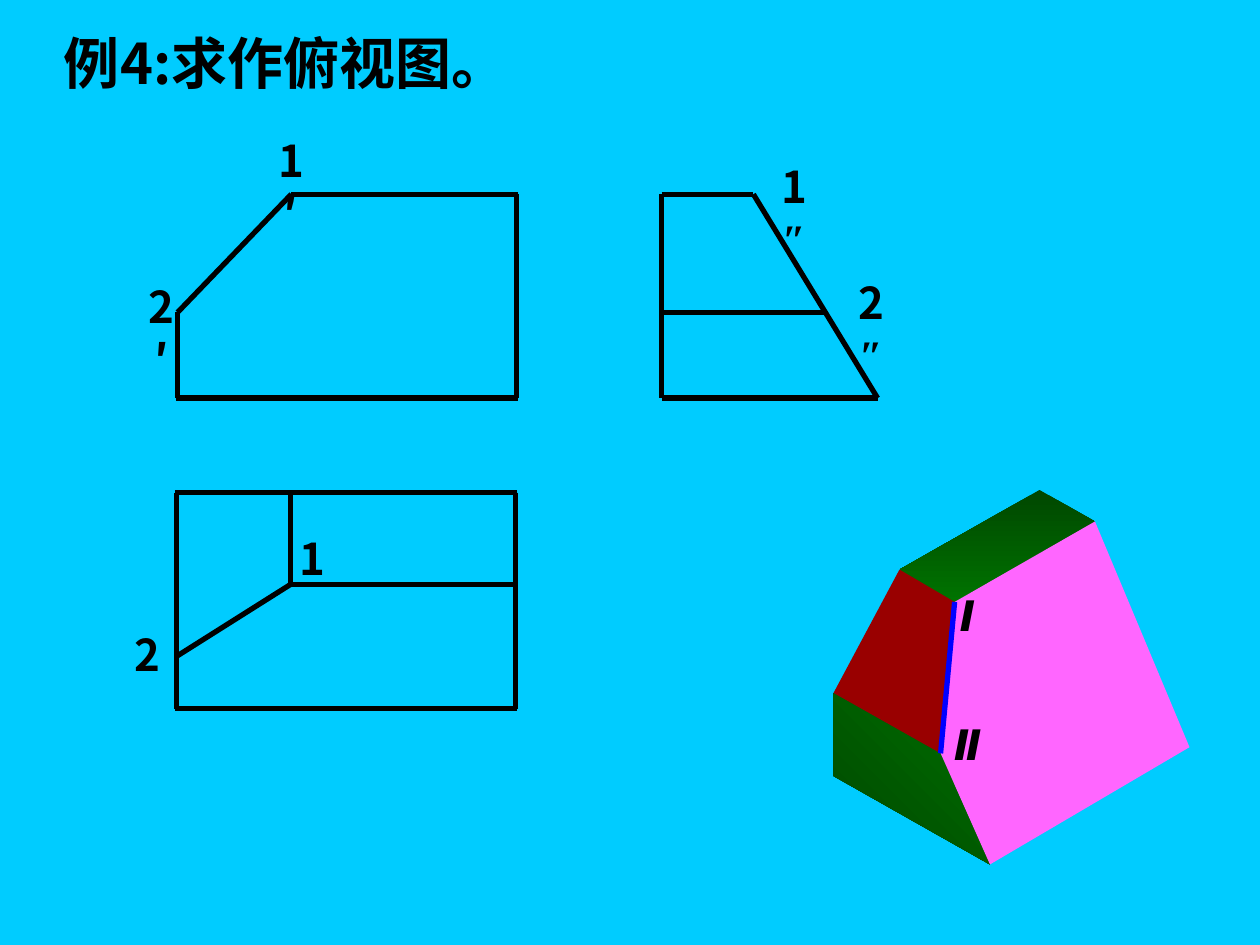
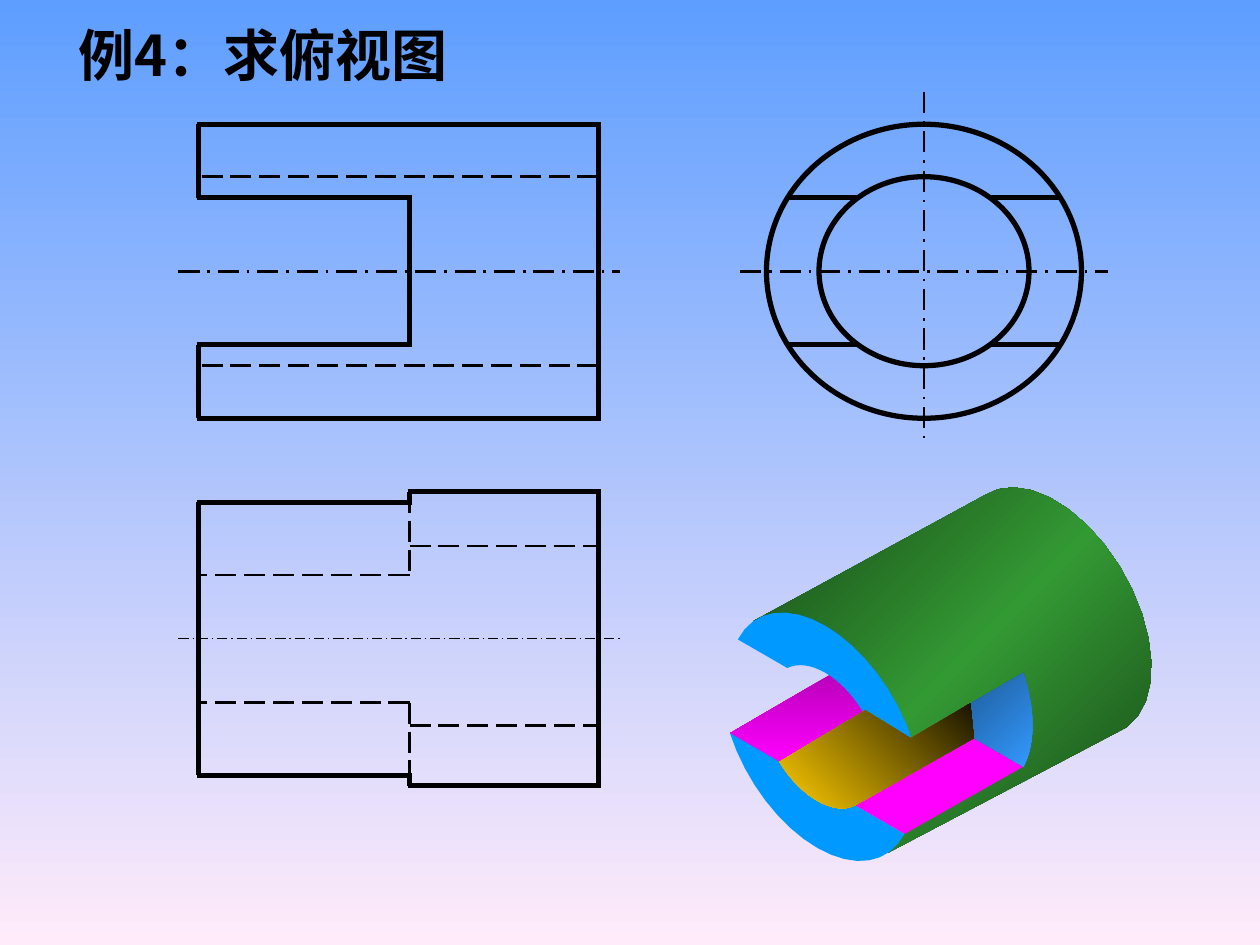
from copy import deepcopy
from dataclasses import dataclass
from math import asin, cos, degrees, radians, sin, sqrt

from lxml import etree
from pptx import Presentation
from pptx.dml.color import RGBColor
from pptx.enum.dml import MSO_LINE
from pptx.enum.shapes import MSO_CONNECTOR, MSO_SHAPE
from pptx.enum.text import MSO_ANCHOR, PP_ALIGN
from pptx.oxml.ns import qn
from pptx.util import Pt

STRAIGHT = MSO_CONNECTOR.STRAIGHT
OVAL = MSO_SHAPE.OVAL
HIDDEN, AXIS = MSO_LINE.LONG_DASH, MSO_LINE.LONG_DASH_DOT
LEFT, CENTER = PP_ALIGN.LEFT, PP_ALIGN.CENTER
TOP = MSO_ANCHOR.TOP


@dataclass(frozen=True)
class Theme:
    ink: str = "000000"
    sky: str = "00CCFF"
    sunrise: tuple = (90, "5E9EFF", "FFEBFA")
    block_top: tuple = (90, "004700", "007300")
    block_left: tuple = (315, "004700", "007000")
    pink: str = "FF66FF"
    red: str = "990000"
    blue: str = "0000FF"
    tube_green: tuple = (45, "184718", "339933", "184718")
    end_blue: str = "0099FF"
    slot_blue: tuple = (45, "1F5D9B", "3399FF")
    floor: str = "FF00FF"
    shaded_floor: tuple = (90, "B900B9", "FF00FF")
    gold: tuple = (315, "FFCC00", "191400")
    font: str = "Noto Sans CJK SC"
    prime_font: str = "Times New Roman"
    numeral_font: str = "Lato"
    title_size: float = 32
    label_size: float = 25
    numeral_size: float = 24
    edge: float = 3
    thin: float = 1.5
    hair: float = 0.75


THEME = Theme()


def paint(fill, colour):
    """Fill with one colour, or with (clockwise angle, colour, colour, ...)."""
    if isinstance(colour, str):
        fill.solid()
        fill.fore_color.rgb = RGBColor.from_string(colour)
        return
    angle, *colours = colour
    fill.gradient()
    fill.gradient_angle = (360 - angle) % 360
    first_stop = fill.gradient_stops[0]._gs
    for _ in colours[2:]:
        first_stop.addnext(deepcopy(first_stop))
    for index, (stop, value) in enumerate(zip(fill.gradient_stops, colours)):
        stop.position = index / (len(colours) - 1)
        stop.color.rgb = RGBColor.from_string(value)


def style_line(line, weight, dash=None, colour=THEME.ink):
    paint(line.fill, colour)
    line.width = Pt(weight)
    if dash:
        line.dash_style = dash


def draw_lines(slide, box, segments, weight=THEME.edge, dash=None, colour=THEME.ink):
    left, top = box
    for x1, y1, x2, y2 in segments:
        connector = slide.shapes.add_connector(
            STRAIGHT, Pt(left + x1), Pt(top + y1), Pt(left + x2), Pt(top + y2))
        style_line(connector.line, weight, dash, colour)
        etree.SubElement(connector._element.spPr, qn("a:effectLst"))


def draw_faces(slide, box, faces):
    left, top = box
    for colour, outline in faces:
        points = [(Pt(left + x), Pt(top + y)) for x, y in outline]
        builder = slide.shapes.build_freeform(*points[0])
        builder.add_line_segments(points[1:], close=True)
        shape = builder.convert_to_shape()
        shape.shadow.inherit = False
        paint(shape.fill, colour)
        shape.line.fill.background()


def add_text(slide, left, top, width, height, runs, alignment=CENTER, margins=(0, 0)):
    """Each run is (text, font name, size, italic)."""
    frame = slide.shapes.add_textbox(Pt(left), Pt(top), Pt(width), Pt(height)).text_frame
    side, end = map(Pt, margins)
    frame_format = {"word_wrap": True, "vertical_anchor": TOP, "margin_left": side,
                    "margin_right": side, "margin_top": end, "margin_bottom": end}
    for name, value in frame_format.items():
        setattr(frame, name, value)
    paragraph = frame.paragraphs[0]
    paragraph.alignment = alignment
    for text, font_name, size, italic in runs:
        run = paragraph.add_run()
        run.text = text
        run_format = {"name": font_name, "size": Pt(size), "bold": True, "italic": italic}
        for name, value in run_format.items():
            setattr(run.font, name, value)
        run.font.color.rgb = RGBColor.from_string(THEME.ink)
        etree.SubElement(run._r.rPr, qn("a:ea"), typeface=font_name)


def add_labels(slide, box, labels):
    """Point names; a double prime takes its own font."""
    for text, x, y, width in labels:
        runs = [(text.rstrip("″"), THEME.font, THEME.label_size, False)]
        if text.endswith("″"):
            runs.append(("″", THEME.prime_font, THEME.numeral_size, False))
        add_text(slide, box[0] + x, box[1] + y, width, 30, runs)


def add_slide(presentation, background, title, left, top, width):
    slide = presentation.slides.add_slide(presentation.slide_layouts[6])
    paint(slide.background.fill, background)
    add_text(slide, left, top, width, 46,
             [(title, THEME.font, THEME.title_size, False)], LEFT, (7.2, 3.6))
    return slide


# Cut block: dimensions shared by its three views
LENGTH, HEIGHT, DEPTH = 193.5, 116.5, 123.5
CUT_X, CUT_Y = 65, 67.5
DEPTH_1, DEPTH_2 = 52.5, 93.5


def block_front_view(slide, box):
    draw_lines(slide, box, [
        (0, CUT_Y, 0, HEIGHT), (-1, HEIGHT, LENGTH + 1, HEIGHT),
        (LENGTH, HEIGHT, LENGTH, 0), (LENGTH + 1, 0, CUT_X, 0), (CUT_X, 0, 0, CUT_Y)])
    add_labels(slide, box, [("2′", -20, 49, 21.5), ("1′", 54, -34.5, 21.5)])


def block_side_view(slide, box):
    draw_lines(slide, box, [
        (0, 0, 0, HEIGHT), (0, HEIGHT, DEPTH, HEIGHT), (DEPTH, HEIGHT, DEPTH_1, 0),
        (0, 0, DEPTH_1, 0), (0, CUT_Y, DEPTH_2, CUT_Y)])
    add_labels(slide, box, [("1″", 62, -19.5, 27.5), ("2″", 106, 46.5, 27.5)])


def block_top_view(slide, box):
    draw_lines(slide, box, [
        (0, 0, 0, DEPTH), (LENGTH, 0, LENGTH, DEPTH),
        (-1, 0, LENGTH + 1, 0), (-1, DEPTH, LENGTH + 1, DEPTH),
        (LENGTH, DEPTH_1, CUT_X, DEPTH_1), (CUT_X, DEPTH_1, 0, DEPTH_2),
        (CUT_X, DEPTH_1, CUT_X, 0)])
    add_labels(slide, box, [("1", 70, 22.5, 14.5), ("2", -24, 77, 14.5)])


def block_solid(slide, box):
    # Corners shared by the faces
    point_1, point_2 = (85.5, 64), (77.5, 150.5)
    top_left, top_back, top_right = (54, 45.5), (134, 0), (165.7, 18)
    cut_left, base_left = (16.3, 116), (16.3, 163.5)
    base_front, base_right = (105.7, 214), (219.7, 147)
    draw_faces(slide, box, [
        (THEME.block_top, [top_left, point_1, top_right, top_back]),
        (THEME.block_left, [cut_left, point_2, base_front, base_left]),
        (THEME.pink, [point_1, top_right, base_right, base_front, point_2]),
        (THEME.red, [top_left, point_1, point_2, cut_left]),
    ])
    draw_lines(slide, box, [(*point_1, *point_2)], colour=THEME.blue)
    for numeral, x, y, width in (("Ⅱ", 83, 130.5, 20), ("Ⅰ", 87, 57, 11.5)):
        add_text(slide, box[0] + x, box[1] + y, width, 29,
                 [(numeral, THEME.numeral_font, THEME.numeral_size, True)])


# Slotted tube: dimensions shared by its views, measured from the axis
TUBE, SLOT = 228.5, 120.5
OUTER, BORE, SLOT_HALF = 84, 54, 42
SLOT_EDGE, BORE_EDGE = 78, 36.5


def tube_front_view(slide, box):
    draw_lines(slide, box, [(-11.5, 0, 241, 0)], THEME.thin, AXIS)
    draw_lines(slide, box, [(TUBE, -OUTER, TUBE, OUTER), (SLOT, -SLOT_HALF, SLOT, SLOT_HALF)])
    for side in (-1, 1):
        outer, slot, bore = side * OUTER, side * SLOT_HALF, side * BORE
        draw_lines(slide, box, [
            (-1, outer, TUBE + 1.5, outer), (-1, slot, SLOT + 1.5, slot), (0, slot, 0, outer)])
        draw_lines(slide, box, [(TUBE, bore, 0, bore)], THEME.thin, HIDDEN)


def tube_end_view(slide, box):
    left, top = box
    outer_width, bore_width = 90, 60
    for half_width, half_height in ((bore_width, BORE), (outer_width, OUTER)):
        ellipse = slide.shapes.add_shape(
            OVAL, Pt(left - half_width), Pt(top - half_height),
            Pt(2 * half_width), Pt(2 * half_height))
        ellipse.shadow.inherit = False
        ellipse.fill.background()
        style_line(ellipse.line, THEME.edge)
    draw_lines(slide, box, [(-105, 0, 105, 0), (0, -102.5, 0, 95.5)], THEME.thin, AXIS)
    # Slot edges run from the bore to the outer rim
    inner_x = bore_width * sqrt(1 - (SLOT_HALF / BORE) ** 2)
    outer_x = outer_width * sqrt(1 - (SLOT_HALF / OUTER) ** 2)
    draw_lines(slide, box, [(x * outer_x, y * SLOT_HALF, x * inner_x, y * SLOT_HALF)
                            for x in (-1, 1) for y in (-1, 1)])


def tube_top_view(slide, box):
    draw_lines(slide, box, [(-11.5, 0, 241, 0)], THEME.hair, AXIS)
    draw_lines(slide, box, [(0, -SLOT_EDGE, 0, SLOT_EDGE), (TUBE, -OUTER, TUBE, OUTER)])
    for side, bore in ((-1, 53), (1, 49.5)):
        outer, edge, inner = side * OUTER, side * SLOT_EDGE, side * BORE_EDGE
        draw_lines(slide, box, [
            (SLOT + 1.5, edge, -1, edge), (SLOT - 1, outer, TUBE + 1.5, outer),
            (SLOT, edge, SLOT, outer)])
        draw_lines(slide, box, [
            (SLOT, min(outer, inner), SLOT, max(outer, inner)), (SLOT, inner, 0, inner),
            (SLOT, side * bore, TUBE, side * bore)], THEME.thin, HIDDEN)


def rim_point(center, radius, angle):
    """Point of a circle in the isometric end plane, angle in degrees."""
    across, up = radius * cos(radians(angle)), radius * sin(radians(angle))
    return center[0] + across * cos(radians(30)), center[1] + across / 2 - up


def rim_arc(center, radius, start, end, steps=16):
    return [rim_point(center, radius, start + (end - start) * step / steps)
            for step in range(steps + 1)]


def tube_solid(slide, box):
    outer, bore, slot_half, tangent = 63.5, 36.6, 26.8, 138
    upper, lower, slot_end, back = (55.5, 143), (51, 143), (119, 104.5), (187, 71.5)
    # Angles at which the slot meets the outer and bore circles
    rim, lip = degrees(asin(slot_half / outer)), degrees(asin(slot_half / bore))
    left_edge = [rim_point(lower, outer, 180 + rim), rim_point(lower, bore, 180 + lip)]
    hidden_edge = [(x + 59, y - 34.5) for x, y in reversed(left_edge)]
    slot_corner = rim_point(slot_end, bore, -lip)
    slot_top = (138.5, 124)
    draw_faces(slide, box, [
        # Outer surface
        (THEME.tube_green,
         rim_arc(back, outer, tangent, tangent - 180) + rim_arc(lower, outer, tangent - 180, -rim)
         + rim_arc(slot_end, outer, -rim, rim) + rim_arc(upper, outer, rim, tangent)),
        # Slot floors
        (THEME.floor, [rim_point(lower, outer, -rim), rim_point(lower, bore, -lip),
                       slot_corner, rim_point(slot_end, outer, -rim)]),
        (THEME.shaded_floor, left_edge + hidden_edge),
        # End faces below and above the slot
        *((THEME.end_blue, rim_arc(center, outer, side * rim, side * (180 - rim))
           + rim_arc(center, bore, side * (180 - lip), side * lip))
          for center, side in ((lower, -1), (upper, 1))),
        # Slot end
        (THEME.slot_blue, rim_arc(slot_end, outer, -rim, rim) + [slot_top, slot_corner]),
        # Bore surface
        (THEME.gold, rim_arc(lower, bore, -lip, lip - 180)
         + [(78.5, 128), (104.5, 144), slot_top, slot_corner]),
    ])


def main():
    presentation = Presentation()
    presentation.slide_width, presentation.slide_height = Pt(720), Pt(540)

    # Cut block
    slide = add_slide(presentation, THEME.sky, "例4:求作俯视图。", 29.5, 13, 280)
    block_front_view(slide, (101.5, 111))
    block_side_view(slide, (378, 111))
    block_top_view(slide, (101, 281.5))
    block_solid(slide, (460, 280))

    # Slotted tube
    slide = add_slide(presentation, THEME.sunrise, "例4：求俯视图", 37.5, 8, 240)
    tube_front_view(slide, (113.5, 155))
    tube_end_view(slide, (528, 155))
    tube_top_view(slide, (113.5, 365))
    tube_solid(slide, (416, 278))

    presentation.save("out.pptx")


if __name__ == "__main__":
    main()
